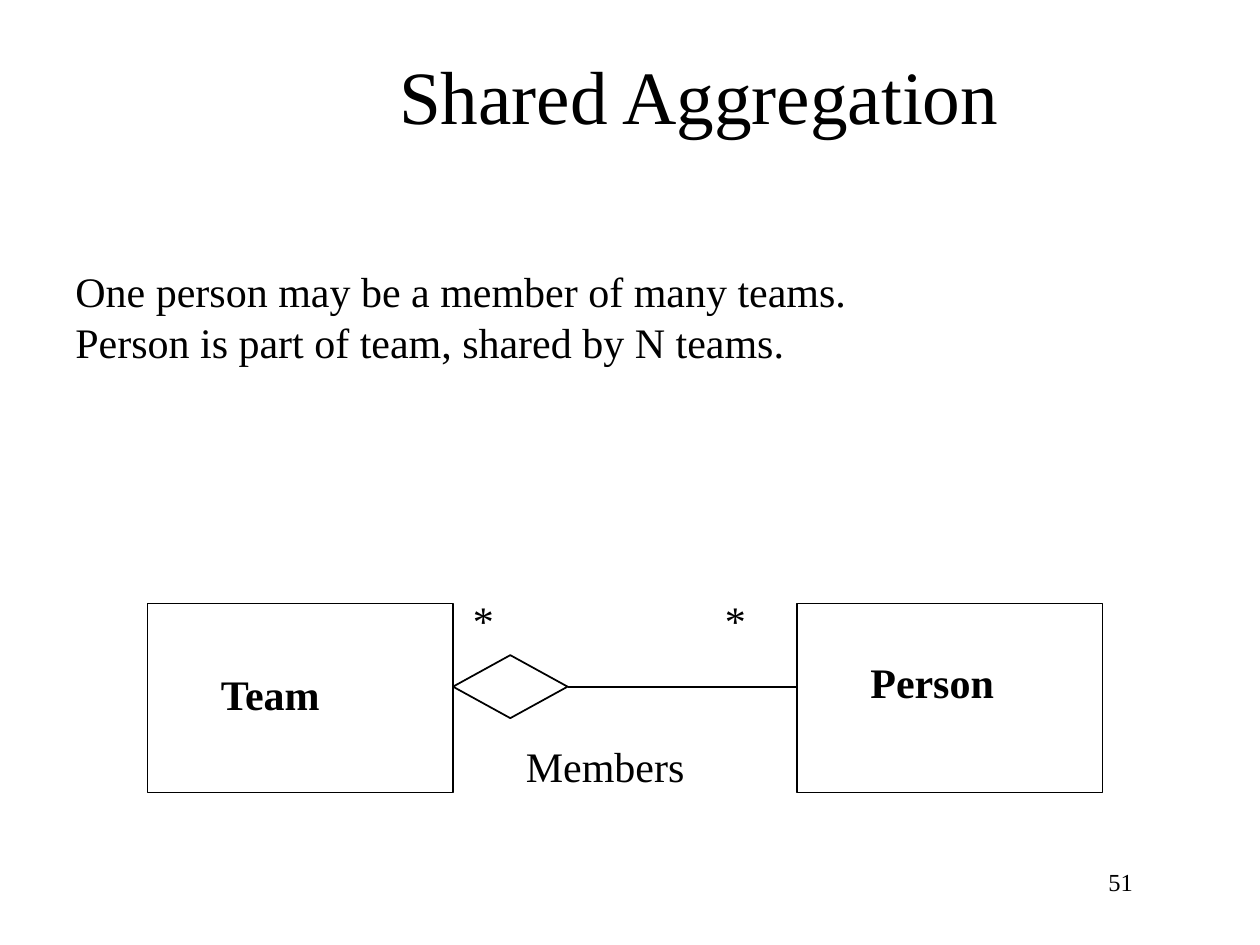
from dataclasses import dataclass

from lxml import etree
from pptx import Presentation
from pptx.dml.color import RGBColor
from pptx.enum.shapes import MSO_CONNECTOR, MSO_SHAPE
from pptx.enum.text import MSO_ANCHOR, PP_ALIGN
from pptx.oxml.ns import qn
from pptx.util import Inches, Pt

RECT, DIAMOND = MSO_SHAPE.RECTANGLE, MSO_SHAPE.DIAMOND
STRAIGHT = MSO_CONNECTOR.STRAIGHT
LEFT, CENTER, RIGHT = PP_ALIGN.LEFT, PP_ALIGN.CENTER, PP_ALIGN.RIGHT
TOP, MIDDLE = MSO_ANCHOR.TOP, MSO_ANCHOR.MIDDLE


@dataclass(frozen=True)
class Theme:
    font: str = "Times New Roman"
    ink: RGBColor = RGBColor(0, 0, 0)
    title: float = 43
    body: float = 24
    small: float = 14
    line: float = 1
    lead: float = 1.2


THEME = Theme()
WIDE, HIGH = 10, 7.5


def inches(box):
    return [Inches(v) for v in box]


def add_text(slide, box, text, size=THEME.body, bold=False, align=LEFT,
             anchor=TOP, wrap=True):
    frame = slide.shapes.add_textbox(*inches(box)).text_frame
    frame.word_wrap = wrap
    frame.vertical_anchor = anchor
    frame.text = text
    for par in frame.paragraphs:
        par.alignment = align
        par.line_spacing = Pt(size * THEME.lead)
        for run in par.runs:
            font = run.font
            font.name, font.size, font.bold = THEME.font, Pt(size), bold
            font.color.rgb = THEME.ink


def add_outline(slide, kind, box):
    shape = slide.shapes.add_shape(kind, *inches(box))
    shape.shadow.inherit = False
    shape.fill.background()
    shape.line.color.rgb = THEME.ink
    shape.line.width = Pt(THEME.line)


def add_line(slide, start, end):
    line = slide.shapes.add_connector(STRAIGHT, *inches(start + end))
    line.line.color.rgb = THEME.ink
    line.line.width = Pt(THEME.line)
    etree.SubElement(line._element.spPr, qn("a:effectLst"))


def add_class(slide, box, name, drop, width):
    """A class box with its name set in from the left edge."""
    x, y, w, h = box
    add_outline(slide, RECT, box)
    add_text(slide, (x + w / 5, y + drop, width, h / 3), name,
             bold=True, wrap=False)


def add_diagram(slide, box):
    """Two classes joined by a shared aggregation."""
    x, y, w, h = box
    side, tip, row = w * 0.32, w * 0.12, h / 3
    near, far = x + side, x + w - side
    mid = y + h * 0.44

    # Classes
    add_class(slide, (x, y, side, h), "Team", h * 0.31, 1.01)
    add_class(slide, (far, y, side, h), "Person", h * 0.25, 1.18)

    # Link with its diamond
    add_line(slide, (near + tip, mid), (far, mid))
    add_outline(slide, DIAMOND, (near, mid - row / 2, tip, row))

    # Role and counts
    add_text(slide, (near + 0.48, y + h * 0.69, 1.46, row), "Members",
             wrap=False)
    for left in (near + 0.06, near + 2.06):
        add_text(slide, (left, y - h * 0.08, 0.36, row), "*", wrap=False)


def main():
    deck = Presentation()
    deck.slide_width, deck.slide_height = Inches(WIDE), Inches(HIGH)
    slide = deck.slides.add_slide(deck.slide_layouts[6])

    # Title
    add_text(slide, (1.42, 0.25, 8.25, 1), "Shared Aggregation",
             THEME.title, align=CENTER, anchor=MIDDLE)
    # Diagram
    add_diagram(slide, (1.17, 4.79, 7.58, 1.5))
    # Statement
    add_text(slide, (0.5, 2.06, 8.94, 1.77),
             "One person may be a member of many teams.\n"
             "Person is part of team, shared by N teams.")
    # Page number
    add_text(slide, (7.17, 6.83, 1.92, 0.52), "51", THEME.small, align=RIGHT)

    deck.save("out.pptx")


if __name__ == "__main__":
    main()
